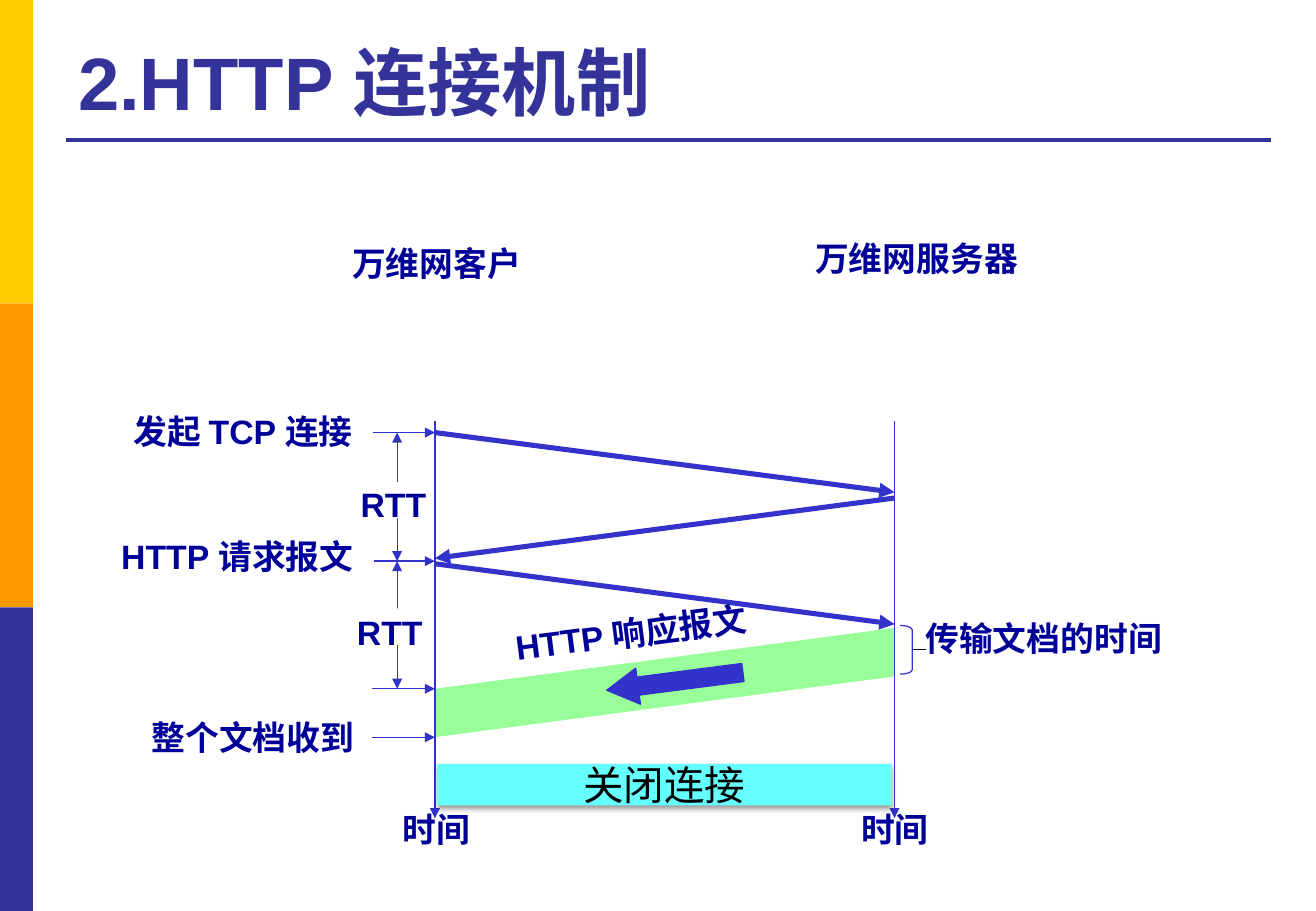
from pptx import Presentation
from pptx.util import Pt
from pptx.dml.color import RGBColor
from pptx.enum.shapes import MSO_CONNECTOR as Link, MSO_SHAPE as Form
from pptx.enum.text import MSO_ANCHOR as Anchor, PP_ALIGN as Align
from pptx.oxml import parse_xml
from pptx.oxml.ns import nsdecls

HUES = {"yellow": "FFCC00", "orange": "FF9900", "navy": "333399", "line": "3333CC",
        "text": "000099", "green": "99FF99", "cyan": "66FFFF", "white": "FFFFFF",
        "black": "000000"}
BARS = ["yellow", "orange", "navy"]
LEFT, RIGHT = 257.8, 530.2
START, ASK, FIRST, LAST = 256.4, 332.6, 408.3, 437
TRIPS = [(LEFT, START, RIGHT, 291.8), (RIGHT, 295.2, LEFT, 331),
         (LEFT, 334.2, RIGHT, 370)]
REPLY = [(LEFT, LAST), (LEFT, FIRST), (RIGHT, 372.2), (RIGHT, 401)]
MARKS = [(221, START), (221.7, ASK), (220.4, FIRST), (220.4, LAST)]
GAPS = [(ASK, FIRST, 204.5, 360.7, 359.3), (START, ASK, 206.6, 285.8, 283)]
HEADS = [("万维网服务器", 475.2, 141.8, 136.1, 26.6, {"align": Align.CENTER, "gap": 0.8}),
         ("万维网客户", 201.6, 140.4, 115.9, 31, {})]
NOTES = [("发起 TCP 连接", 72, 239.8, 146.9, "white"),
         ("HTTP 请求报文", 64.8, 313.9, 154.1, None),
         ("传输文档的时间", 541.4, 362.9, 157, "white"),
         ("整个文档收到", 82.8, 421.2, 136.8, "white")]
TIMES = [231.8, 503.3]
TALL = 31.7

deck = Presentation()
deck.slide_width, deck.slide_height = Pt(780), Pt(540)
slide = deck.slides.add_slide(deck.slide_layouts[6])
shapes = slide.shapes


def hue(name):
    return RGBColor.from_string(HUES[name])


def paint(item, fill=None, line=None):
    item.shadow.inherit = False
    if fill:
        item.fill.solid()
        item.fill.fore_color.rgb = hue(fill)
    else:
        item.fill.background()
    if line:
        item.line.color.rgb = hue(line)
        item.line.width = Pt(0.75)
    else:
        item.line.fill.background()
    return item


def block(x, y, w, h, fill=None, line=None, form=Form.RECTANGLE):
    return paint(shapes.add_shape(form, Pt(x), Pt(y), Pt(w), Pt(h)), fill, line)


def write(text, x, y, w, h, size=20, color="text", bold=True, align=Align.LEFT,
          anchor=Anchor.TOP, wrap=True, fill=None, gap=None, turn=0):
    box = shapes.add_textbox(Pt(x), Pt(y), Pt(w), Pt(h))
    box.rotation = turn
    if fill:
        box.fill.solid()
        box.fill.fore_color.rgb = hue(fill)
    frame = box.text_frame
    frame.word_wrap, frame.vertical_anchor = wrap, anchor
    para = frame.paragraphs[0]
    para.alignment = align
    if gap:
        para.line_spacing = gap
    run = para.add_run()
    run.text = text
    font = run.font
    font.name, font.size, font.bold = "Arial", Pt(size), bold
    font.color.rgb = hue(color)
    return box


def rule(x1, y1, x2, y2, color="line", width=0.75, ends=("tailEnd",)):
    wire = shapes.add_connector(Link.STRAIGHT, Pt(x1), Pt(y1), Pt(x2), Pt(y2))
    wire.line.color.rgb = hue(color)
    wire.line.width = Pt(width)
    edge = wire.line._get_or_add_ln()
    for end in ends:
        edge.append(parse_xml(f'<a:{end} {nsdecls("a")} type="triangle"/>'))
    wire._element.spPr.append(parse_xml(f'<a:effectLst {nsdecls("a")}/>'))


def shade(item):
    props = item._element.spPr
    for old in props.findall("{*}effectLst"):
        props.remove(old)
    props.append(parse_xml(
        f'<a:effectLst {nsdecls("a")}><a:outerShdw blurRad="{Pt(3.1)}" dist="{Pt(1.6)}" '
        f'dir="5400000" rotWithShape="0"><a:srgbClr val="{HUES["black"]}">'
        '<a:alpha val="38000"/></a:srgbClr></a:outerShdw></a:effectLst>'))


for i, name in enumerate(BARS):
    block(0, 180 * i, 19.6, 180, name)
rule(39.2, 82.8, 753.3, 82.8, "navy", 2.25, ())
write("2.HTTP 连接机制", 39.2, 15.1, 713.5, 62.6, size=44, color="navy",
      anchor=Anchor.BOTTOM)

for top, low, x, mask, y in GAPS:
    rule(235.4, top, 235.4, low, ends=("headEnd", "tailEnd"))
    block(212.4, mask, 43.9, 21.6, "white")
    write("RTT", x, y, 54, TALL, wrap=False)

pen = shapes.build_freeform(Pt(REPLY[0][0]), Pt(REPLY[0][1]))
pen.add_line_segments([(Pt(x), Pt(y)) for x, y in REPLY[1:]], close=True)
paint(pen.convert_to_shape(), "green")

for text, x, y, w, h, look in HEADS:
    write(text, x, y, w, h, wrap=False, **look)
for text, x, y, w, fill in NOTES:
    write(text, x, y, w, TALL, fill=fill)
for x in (LEFT, RIGHT):
    rule(x, 249.5, x, 485)
for trip in TRIPS:
    rule(*trip, width=3)
for x, y in MARKS:
    rule(x, y, LEFT, y)

arrow = block(359.3, 393.1, 81.4, 21.6, "line", "line", Form.LEFT_ARROW)
arrow.adjustments[0], arrow.adjustments[1] = 0.5, 0.87
arrow.rotation = 352.6
for x in TIMES:
    write("时间", x, 475.9, 55.4, TALL, wrap=False)
write("HTTP 响应报文", 298.1, 359.3, 154.1, TALL, turn=352.7)

brace = block(533.5, 370.8, 7.2, 28.8, None, "line", Form.RIGHT_BRACKET)
brace.adjustments[0] = 0.35
rule(541.4, 385.2, 548.6, 385.2, "black", ends=())
shade(block(259.2, 452.9, 269.3, 24.5, "cyan"))
write("关闭连接", 259.2, 452.9, 269.3, 24.5, size=24, color="black", bold=False,
      align=Align.CENTER, anchor=Anchor.MIDDLE)
deck.save("out.pptx")
